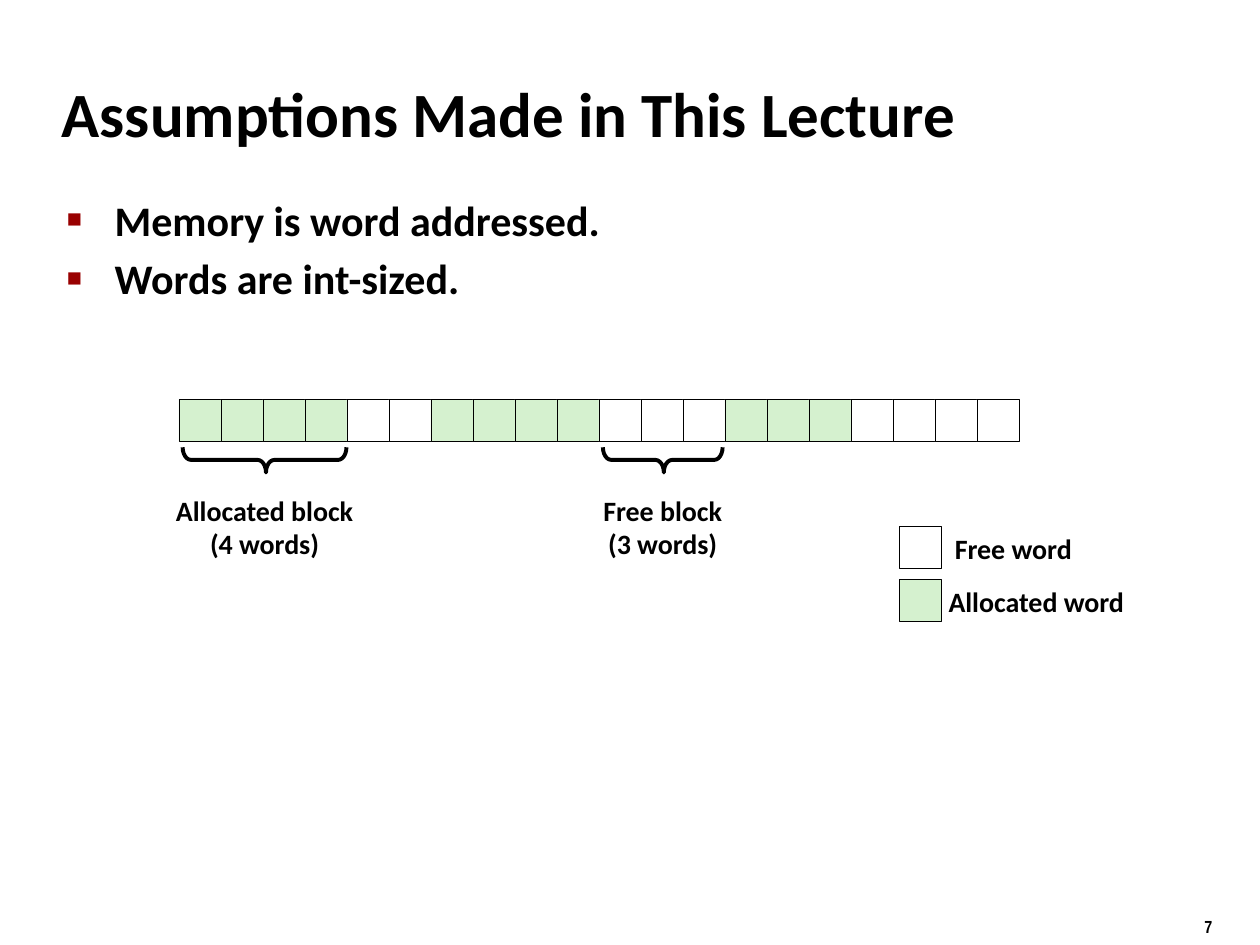
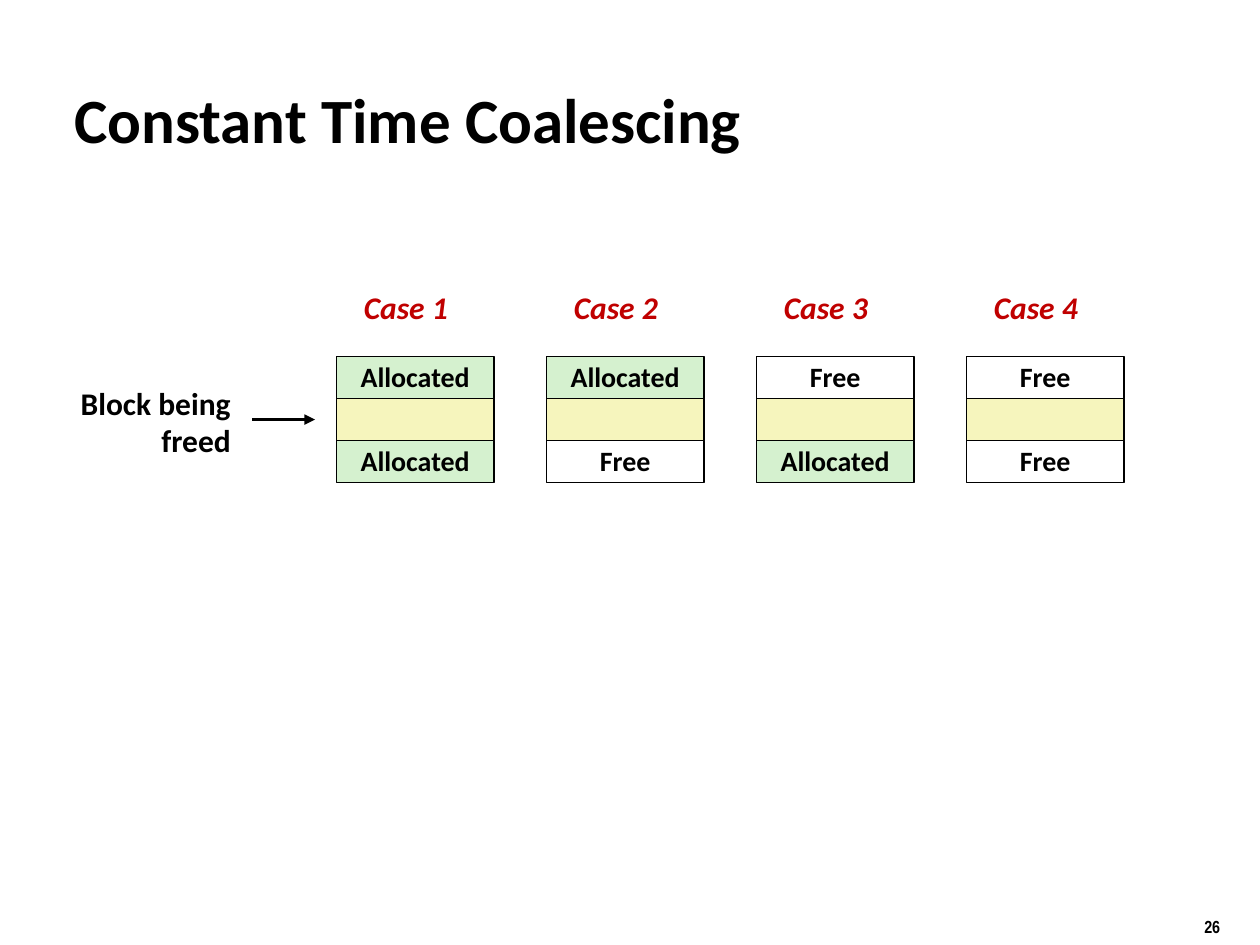
from lxml import etree
from pptx import Presentation
from pptx.dml.color import RGBColor
from pptx.enum.shapes import MSO_CONNECTOR, MSO_SHAPE
from pptx.enum.text import MSO_ANCHOR, MSO_AUTO_SIZE, PP_ALIGN
from pptx.oxml.ns import qn
from pptx.util import Inches, Pt

BLACK = RGBColor(0x00, 0x00, 0x00)
WHITE = RGBColor(0xFF, 0xFF, 0xFF)
GREEN = RGBColor(0xD5, 0xF1, 0xCF)
YELLOW = RGBColor(0xF6, 0xF5, 0xBD)
RED = RGBColor(0xC0, 0x00, 0x00)
MAROON = RGBColor(0x99, 0x00, 0x00)
FONT = "Calibri"
WORD = 1 / 3  # side of one memory word, in inches


def style(para, size, color=BLACK, name=FONT, italic=False):
    font = para.font
    font.name, font.size, font.bold, font.italic = name, Pt(size), True, italic
    font.color.rgb = color


def place(shape, x, y, w, h):
    shape.left, shape.top = Inches(x), Inches(y)
    shape.width, shape.height = Inches(w), Inches(h)


def add_label(slide, text, x, y, w, h, size=16, align=PP_ALIGN.LEFT, **look):
    frame = slide.shapes.add_textbox(
        Inches(x), Inches(y), Inches(w), Inches(h)).text_frame
    frame.word_wrap = True
    frame.text = text
    for para in frame.paragraphs:
        para.alignment, para.line_spacing = align, 0.98
        style(para, size, **look)


def add_page(deck, layout, title, box, number):
    """Add a slide with its title and page number."""
    slide = deck.slides.add_slide(deck.slide_layouts.get_by_name(layout))
    head = slide.shapes.title
    place(head, *box)
    frame = head.text_frame
    frame.text = title
    frame.vertical_anchor = MSO_ANCHOR.MIDDLE
    frame.auto_size = MSO_AUTO_SIZE.NONE
    frame.paragraphs[0].alignment = PP_ALIGN.LEFT
    style(frame.paragraphs[0], 36)
    add_label(slide, str(number), 9.46, 7.23, 0.74, 0.26, 10,
              name="Arial Narrow")
    return slide


def add_bullet(para):
    props = para._p.get_or_add_pPr()
    props.set("marL", str(Inches(0.38)))
    props.set("indent", str(-Inches(0.38)))
    color = etree.SubElement(props, qn("a:buClr"))
    etree.SubElement(color, qn("a:srgbClr"), val=str(MAROON))
    etree.SubElement(props, qn("a:buSzPct"), val="60000")
    etree.SubElement(props, qn("a:buFont"), typeface="Arial")
    etree.SubElement(props, qn("a:buChar"), char="■")


def fill_list(body, items):
    frame = body.text_frame
    frame.text = "\n".join(items)
    frame.auto_size = MSO_AUTO_SIZE.NONE
    for i, para in enumerate(frame.paragraphs):
        add_bullet(para)
        para.space_before = Pt(4.8 if i else 0)
        style(para, 24)


def add_block(slide, x, y, w, fill, line=0.25, text=""):
    """Add a bordered box, one word high."""
    box = slide.shapes.add_shape(
        MSO_SHAPE.RECTANGLE, Inches(x), Inches(y), Inches(w), Inches(WORD))
    box.shadow.inherit = False
    box.fill.solid()
    box.fill.fore_color.rgb = fill
    box.line.color.rgb = BLACK
    box.line.width = Pt(line)
    if text:
        frame = box.text_frame
        frame.text = text
        frame.word_wrap = False
        frame.vertical_anchor = MSO_ANCHOR.MIDDLE
        para = frame.paragraphs[0]
        para.alignment, para.line_spacing = PP_ALIGN.CENTER, 0.98
        style(para, 16)


def add_brace(slide, x, y, span):
    """Add a brace that points down, centred on x and y."""
    brace = slide.shapes.add_shape(
        MSO_SHAPE.LEFT_BRACE, Inches(x - 0.1), Inches(y - span / 2),
        Inches(0.2), Inches(span))
    brace.rotation = 270
    brace.adjustments[0], brace.adjustments[1] = 0.333, 0.509
    brace.shadow.inherit = False
    brace.fill.background()
    brace.line.color.rgb = BLACK
    brace.line.width = Pt(2.25)


def add_arrow(slide, x, y, end):
    arrow = slide.shapes.add_connector(
        MSO_CONNECTOR.STRAIGHT, Inches(x), Inches(y), Inches(end), Inches(y))
    arrow.line.color.rgb = BLACK
    arrow.line.width = Pt(2)
    etree.SubElement(arrow.line._get_or_add_ln(), qn("a:tailEnd"),
                     type="triangle")
    etree.SubElement(arrow._element.spPr, qn("a:effectLst"))


def build_words(deck):
    slide = add_page(deck, "Title and Content",
                     "Assumptions Made in This Lecture",
                     (0.39, 0.48, 8.3, 0.83), 7)
    body = slide.placeholders[1]
    place(body, 0.43, 1.49, 8.64, 5.44)
    fill_list(body, ["Memory is word addressed.", "Words are int-sized."])

    runs = [(4, GREEN), (2, WHITE), (4, GREEN),
            (3, WHITE), (3, GREEN), (4, WHITE)]
    words = [fill for count, fill in runs for _ in range(count)]
    for i, fill in enumerate(words):
        add_block(slide, 1.42 + i * WORD, 3.17, WORD, fill)

    for text, x, span, w in [("Allocated block\n(4 words)", 2.1, 1.3, 1.89),
                             ("Free block\n(3 words)", 5.26, 0.95, 1.33)]:
        add_label(slide, text, x - w / 2, 3.88, w, 0.62,
                  align=PP_ALIGN.CENTER)
        add_brace(slide, x, 3.65, span)

    for text, fill, x, y in [("Free word", WHITE, 7.48, 4.18),
                             ("Allocated word", GREEN, 7.43, 4.6)]:
        add_block(slide, 7.14, y, WORD, fill)
        add_label(slide, text, x, y, 1.86, 0.36)


def build_cases(deck):
    slide = add_page(deck, "Title Only", "Constant Time Coalescing",
                     (0.49, 0.62, 7.68, 0.63), 26)
    fills = {"Allocated": GREEN, "": YELLOW, "Free": WHITE}
    cases = [("Allocated", "Allocated"), ("Allocated", "Free"),
             ("Free", "Allocated"), ("Free", "Free")]
    for i, (above, below) in enumerate(cases):
        x = 2.67 + i * 5 * WORD
        add_label(slide, f"Case {i + 1}", x + 0.12, 2.25, 0.96, 0.4, 18,
                  color=RED, italic=True)
        for row, text in enumerate([above, "", below]):
            add_block(slide, x, 2.83 + row * WORD, 1.25, fills[text], 1, text)
    add_label(slide, "Block being\nfreed", 0.28, 3.01, 1.65, 0.69, 18,
              align=PP_ALIGN.RIGHT)
    add_arrow(slide, 2, 3.33, 2.5)


def main():
    deck = Presentation()
    deck.slide_width, deck.slide_height = Inches(10), Inches(7.5)
    build_words(deck)
    build_cases(deck)
    deck.save("out.pptx")


if __name__ == "__main__":
    main()
